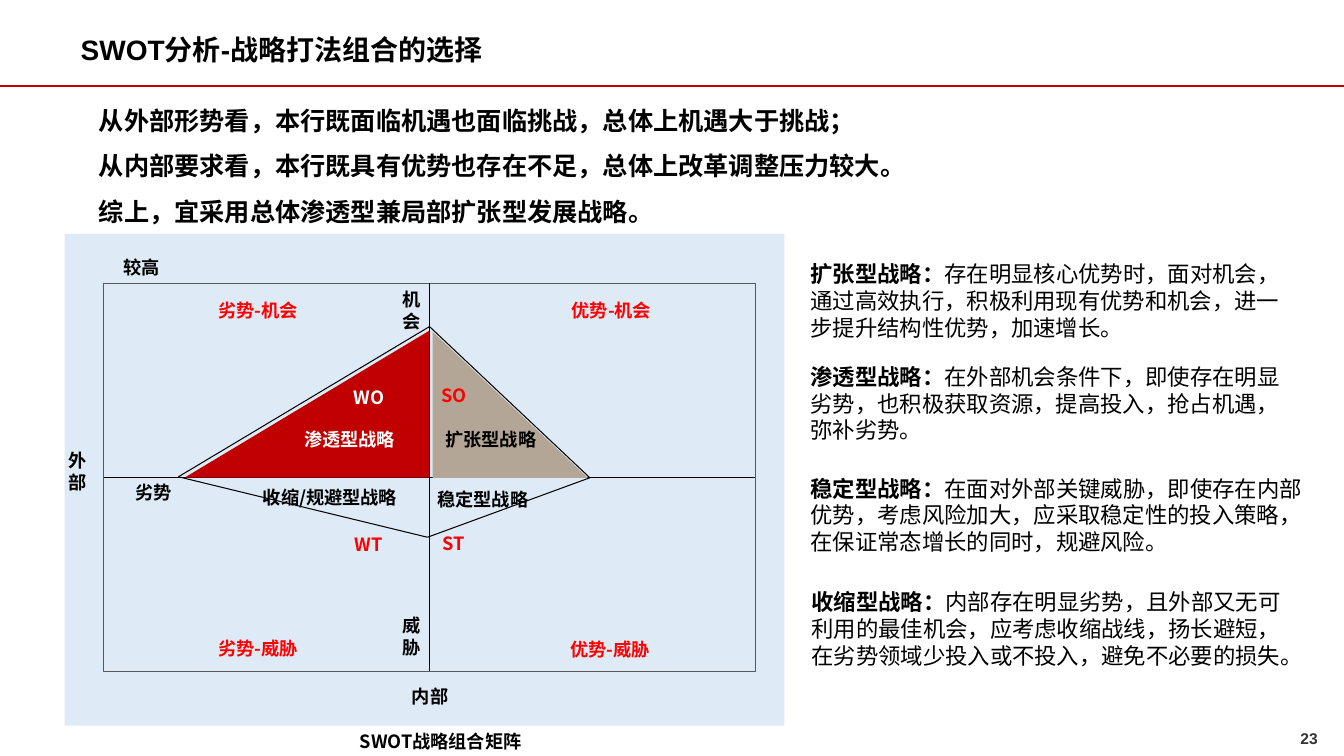
"""Build the SWOT strategy combination slide."""
from lxml import etree
from pptx import Presentation
from pptx.dml.color import RGBColor
from pptx.enum.shapes import MSO_CONNECTOR as CONN, MSO_SHAPE as SHAPE
from pptx.enum.text import MSO_ANCHOR as ANCHOR, MSO_AUTO_SIZE as FIT, PP_ALIGN as AL
from pptx.oxml.ns import qn
from pptx.util import Inches, Pt

COLORS = {
    "black": "000000", "white": "FFFFFF", "red": "FF0000", "crimson": "C00000",
    "panel": "DEEBF7", "frame": "595959", "taupe": "B4A697", "number": "333333",
}
CJK = "Noto Sans CJK SC"
HEADING = {"name": "Arial", "size": Pt(20), "bold": True}
STATEMENT = {"name": "Arial", "size": Pt(18), "bold": True}
TERM = {"name": "Arial", "size": Pt(16), "bold": True}
DETAIL = {**TERM, "bold": False}
LABEL = {"name": CJK, "size": Pt(13), "bold": True}
NUMBER = {"name": "Arial", "size": Pt(11.1), "bold": True}

STATEMENTS = [
    "从外部形势看，本行既面临机遇也面临挑战，总体上机遇大于挑战；",
    "从内部要求看，本行既具有优势也存在不足，总体上改革调整压力较大。",
    "综上，宜采用总体渗透型兼局部扩张型发展战略。",
]
STRATEGIES = [
    ("扩张型战略：", "存在明显核心优势时，面对机会，通过高效执行，积极利用现有优势和机会，"
     "进一步提升结构性优势，加速增长。", (7.94, 2.53, 5.03, 0.91)),
    ("渗透型战略：", "在外部机会条件下，即使存在明显劣势，也积极获取资源，提高投入，"
     "抢占机遇，弥补劣势。", (7.94, 3.55, 5.03, 0.91)),
    ("稳定型战略：", "在面对外部关键威胁，即使存在内部优势，考虑风险加大，应采取稳定性的投入策略，"
     "在保证常态增长的同时，规避风险。", (7.94, 4.66, 5.12, 0.91)),
    ("收缩型战略：", "内部存在明显劣势，且外部又无可利用的最佳机会，应考虑收缩战线，扬长避短，"
     "在劣势领域少投入或不投入，避免不必要的损失。", (7.95, 5.79, 5.03, 0.91)),
]
AXIS_LABELS = [
    ("外部", (0.58, 4.41, 0.46, 0.54), AL.LEFT),
    ("机会", (3.89, 2.81, 0.46, 0.54), AL.LEFT),
    ("威胁", (3.89, 6.05, 0.46, 0.54), AL.LEFT),
    ("较高", (1.13, 2.49, 0.73, 0.32), AL.LEFT),
    ("内部", (3.62, 6.75, 1.29, 0.32), AL.CENTER),
    ("劣势", (0.88, 4.73, 1.29, 0.32), AL.CENTER),
]
QUADRANTS = [
    ("劣势-机会", (2, 2.92, 1.12, 0.32)), ("优势-机会", (5.51, 2.92, 1.11, 0.32)),
    ("劣势-威胁", (1.99, 6.27, 1.14, 0.32)), ("优势-威胁", (5.49, 6.28, 1.12, 0.32)),
]
CODES = [
    ("WO", (3.41, 3.78, 0.52, 0.32), "white"), ("SO", (4.28, 3.76, 0.46, 0.32), "red"),
    ("WT", (3.42, 5.24, 0.49, 0.32), "red"), ("ST", (4.29, 5.23, 0.44, 0.32), "red"),
]
STRATEGY_LABELS = [
    ("渗透型战略", (2.92, 4.09, 1.11, 0.39), "white", 1.5, False),
    ("扩张型战略", (4.32, 4.09, 1.23, 0.39), "black", 1.5, True),
    ("收缩/规避型战略", (2.51, 4.77, 1.63, 0.32), "black", 1, True),
    ("稳定型战略", (4.24, 4.79, 1.31, 0.32), "black", 1, True),
]
DIAMOND = [(4.26, 3.24), (5.85, 4.74), (4.24, 5.33), (1.77, 4.73)]
WO_AREA = [(4.26, 4.74), (1.83, 4.74), (4.26, 3.28)]
SO_AREA = [(4.29, 4.74), (5.83, 4.74), (4.29, 3.29)]


def rgb(color):
    """Return the named colour."""
    return RGBColor.from_string(COLORS[color])


def add_run(p, text, style, color="black"):
    """Add a formatted run with a Chinese font."""
    r = p.add_run()
    r.text = text
    for key, value in style.items():
        setattr(r.font, key, value)
    r.font.color.rgb = rgb(color)
    etree.SubElement(r.font._element, qn("a:ea"), typeface=CJK)


def fill_placeholder(sp, box, lines, style, spacing=1):
    """Place a placeholder and write its lines without bullets."""
    sp.left, sp.top, sp.width, sp.height = map(Inches, box)
    tf = sp.text_frame
    tf.auto_size, tf.vertical_anchor = FIT.NONE, ANCHOR.MIDDLE
    for i, line in enumerate(lines):
        p = tf.add_paragraph() if i else tf.paragraphs[0]
        pPr = p._p.get_or_add_pPr()
        pPr.set("marL", "0")
        pPr.set("indent", "0")
        etree.SubElement(pPr, qn("a:buNone"))
        p.alignment, p.line_spacing, p.space_before = AL.LEFT, spacing, Pt(0)
        add_run(p, line, style)


def add_text(slide, box, runs, align=AL.LEFT, spacing=1, wrap=True):
    """Add a one-paragraph text box and return its frame."""
    tf = slide.shapes.add_textbox(*map(Inches, box)).text_frame
    tf.word_wrap, tf.auto_size = wrap, FIT.SHAPE_TO_FIT_TEXT
    p = tf.paragraphs[0]
    p.alignment, p.line_spacing = align, spacing
    for run in runs:
        add_run(p, *run)
    return tf


def add_rect(slide, box, fill=None, line=None):
    """Add a rectangle with an optional fill and outline."""
    sp = slide.shapes.add_shape(SHAPE.RECTANGLE, *map(Inches, box))
    sp.shadow.inherit = False
    for part, color in ((sp.fill, fill), (sp.line.fill, line)):
        if color:
            part.solid()
            part.fore_color.rgb = rgb(color)
        else:
            part.background()
    if line:
        sp.line.width = Pt(0.75)
    return sp


def add_line(slide, start, end, color="black", width=0.75):
    """Add a straight line between two points."""
    c = slide.shapes.add_connector(CONN.STRAIGHT, *map(Inches, (*start, *end)))
    c.line.color.rgb, c.line.width = rgb(color), Pt(width)
    etree.SubElement(c._element.spPr, qn("a:effectLst"))
    return c


def add_area(slide, points, color):
    """Add a filled polygon without an outline."""
    first, *rest = [tuple(map(Inches, point)) for point in points]
    builder = slide.shapes.build_freeform(*first)
    builder.add_line_segments(rest, close=True)
    sp = builder.convert_to_shape()
    sp.shadow.inherit = False
    sp.fill.solid()
    sp.fill.fore_color.rgb = rgb(color)
    sp.line.fill.background()


def add_matrix(slide):
    """Draw the panel, axes, diamond and strategy areas."""
    add_rect(slide, (0.64, 2.32, 7.14, 4.88), fill="panel")
    frame = add_rect(slide, (1.03, 2.81, 6.46, 3.85), line="frame")
    for start, end, sides in (((1.03, 4.74), (7.49, 4.74), (1, 3)),
                              ((4.26, 2.81), (4.26, 6.66), (0, 2))):
        axis = add_line(slide, start, end)
        axis.begin_connect(frame, sides[0])
        axis.end_connect(frame, sides[1])
    for start, end in zip(DIAMOND, DIAMOND[1:] + DIAMOND[:1]):
        add_line(slide, start, end)
    add_area(slide, WO_AREA, "crimson")
    add_area(slide, SO_AREA, "taupe")


def add_matrix_labels(slide):
    """Write all labels of the matrix."""
    for text, box, align in AXIS_LABELS:
        add_text(slide, box, [(text, LABEL)], align)
    for text, box in QUADRANTS:
        add_text(slide, box, [(text, LABEL, "red")], AL.CENTER)
    for text, box, color in CODES:
        add_text(slide, box, [(text, LABEL, color)], wrap=False)
    for text, box, color, spacing, wrap in STRATEGY_LABELS:
        add_text(slide, box, [(text, LABEL, color)], spacing=spacing, wrap=wrap)
    add_text(slide, (3.47, 7.2, 1.85, 0.32), [("SWOT战略组合矩阵", LABEL)], wrap=False)


def main():
    """Build and save the slide."""
    prs = Presentation()
    prs.slide_width, prs.slide_height = Inches(13.33), Inches(7.5)
    slide = prs.slides.add_slide(prs.slide_layouts[1])
    title, body = slide.placeholders
    add_line(slide, (0, 0.85), (13.33, 0.85), "crimson", 1.5)
    fill_placeholder(title, (0.7, 0.36, 11.84, 0.25), ["SWOT分析-战略打法组合的选择"], HEADING)
    fill_placeholder(body, (0.88, 0.95, 12.21, 1.24), STATEMENTS, STATEMENT, 1.5)
    for term, detail, box in STRATEGIES:
        add_text(slide, box, [(term, TERM), (detail, DETAIL)])
    add_matrix(slide)
    add_matrix_labels(slide)
    tf = add_text(slide, (10.29, 7.23, 2.78, 0.19), [("23", NUMBER, "number")], AL.RIGHT)
    for side in ("left", "top", "right", "bottom"):
        setattr(tf, f"margin_{side}", 0)
    prs.save("out.pptx")


if __name__ == "__main__":
    main()
